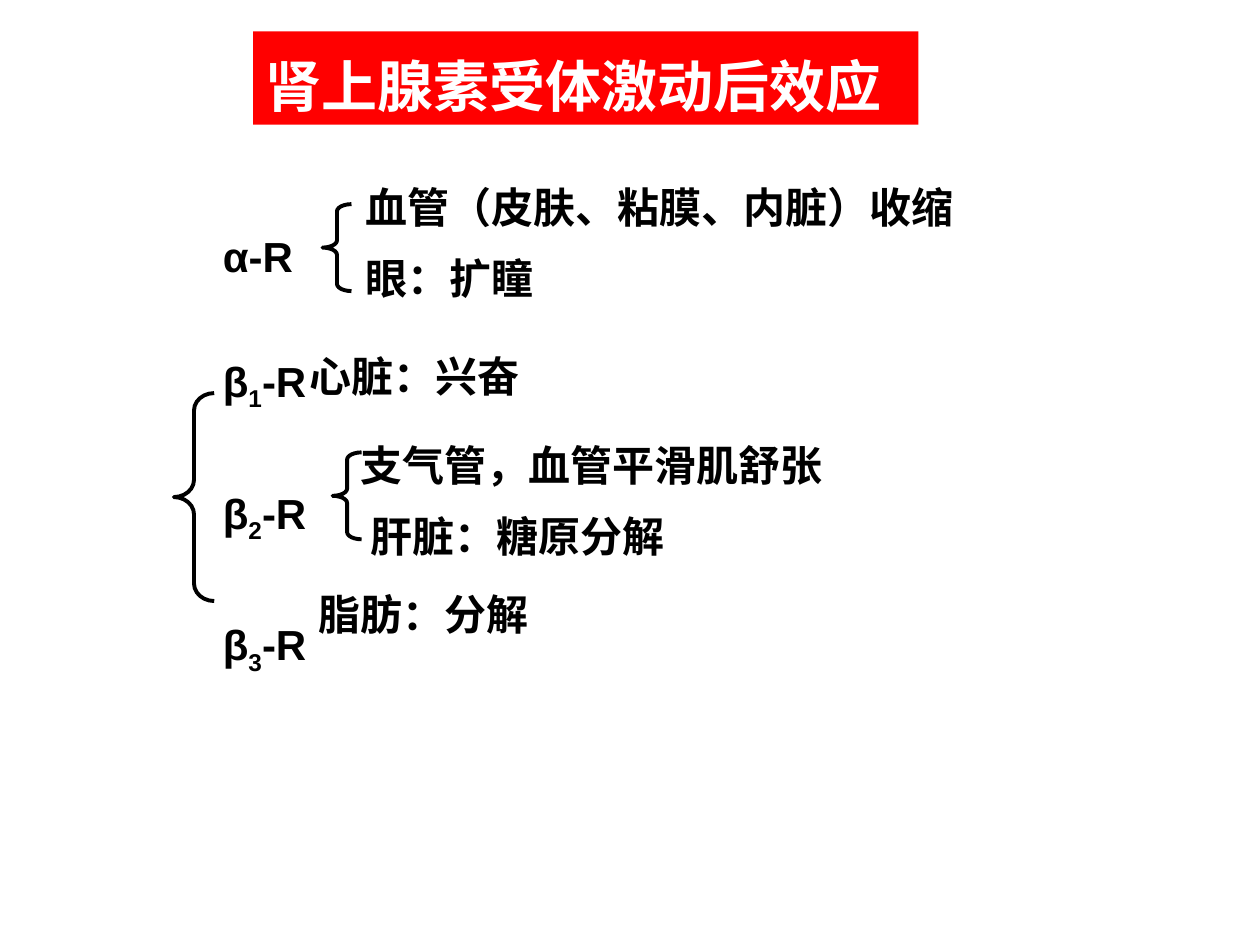
import dataclasses

import pptx
import pptx.dml.color
import pptx.enum.shapes
import pptx.enum.text
import pptx.util

Inches = pptx.util.Inches
Pt = pptx.util.Pt
RGB = pptx.dml.color.RGBColor
Kind = pptx.enum.shapes.MSO_SHAPE


@dataclasses.dataclass(frozen=True)
class Theme:
    """Colours, fonts and type sizes of the slide."""
    red: RGB = RGB(255, 0, 0)
    white: RGB = RGB(255, 255, 255)
    black: RGB = RGB(0, 0, 0)
    latin: str = "Arial"
    body: str = "Calibri"
    head: int = 32
    text: int = 24
    line: float = 2.25
    lead: float = 1.2


THEME = Theme()


def add_run(para, text, font, size, color):
    """Add one bold run and return it."""
    run = para.add_run()
    run.text = text
    run.font.name = font
    run.font.size = Pt(size)
    run.font.bold = True
    run.font.color.rgb = color
    return run


def add_para(frame, first, gap):
    """Return a left-aligned paragraph, spaced unless it is the first."""
    para = frame.paragraphs[0] if first else frame.add_paragraph()
    para.alignment = pptx.enum.text.PP_ALIGN.LEFT
    para.line_spacing = THEME.lead
    if not first:
        para.space_before = Pt(gap)
    return para


def add_box(slide, box):
    """Add a wrapping text box and return its frame."""
    frame = slide.shapes.add_textbox(*map(Inches, box)).text_frame
    frame.word_wrap = True
    return frame


def add_title(slide, box, text):
    """Draw the red title bar."""
    bar = slide.shapes.add_shape(Kind.RECTANGLE, *map(Inches, box))
    bar.shadow.inherit = False
    bar.fill.solid()
    bar.fill.fore_color.rgb = THEME.red
    bar.line.fill.background()
    frame = bar.text_frame
    frame.word_wrap = True
    frame.vertical_anchor = pptx.enum.text.MSO_ANCHOR.TOP
    add_run(add_para(frame, True, 0), text, THEME.body, THEME.head, THEME.white)


def add_names(slide, box, names):
    """List the receptor names, with their numbers as subscripts."""
    frame = add_box(slide, box)
    for i, (greek, num) in enumerate(names):
        para = add_para(frame, i == 0, 36)
        for text in filter(None, (greek, num, "-R")):
            run = add_run(para, text, THEME.latin, THEME.text, THEME.black)
            if text == num:
                run.font._element.set("baseline", "-25000")


def add_effects(slide, box, lines):
    """List the effects of one receptor, each with its left indent."""
    frame = add_box(slide, box)
    for i, (text, left) in enumerate(lines):
        para = add_para(frame, i == 0, 6)
        if left:
            para._p.get_or_add_pPr().set("marL", str(Inches(left)))
        add_run(para, text, THEME.body, THEME.text, THEME.black)


def add_brace(slide, box, curve):
    """Draw a left brace with the given curve."""
    brace = slide.shapes.add_shape(Kind.LEFT_BRACE, *map(Inches, box))
    brace.shadow.inherit = False
    brace.adjustments[0] = curve
    brace.fill.background()
    brace.line.color.rgb = THEME.black
    brace.line.width = Pt(THEME.line)


def main():
    """Build and save the slide."""
    deck = pptx.Presentation()
    deck.slide_width, deck.slide_height = Inches(10), Inches(7.5)
    slide = deck.slides.add_slide(deck.slide_layouts[6])
    names = [("α", ""), ("β", "1"), ("β", "2"), ("β", "3")]
    add_names(slide, (1.67, 1.7, 0.89, 4.14), names)
    add_title(slide, (2.01, 0.25, 5.28, 0.74), "肾上腺素受体激动后效应")
    effects = [
        ((2.8, 1.31, 5, 1.15), [("血管（皮肤、粘膜、内脏）收缩", 0), ("眼：扩瞳", 0)]),
        ((2.36, 2.65, 2.61, 0.58), [("心脏：兴奋", 0)]),
        ((2.76, 3.36, 5, 1.15), [("支气管，血管平滑肌舒张", 0), ("肝脏：糖原分解", 0.08)]),
        ((2.43, 4.54, 2.61, 0.58), [("脂肪：分解", 0)]),
    ]
    for box, lines in effects:
        add_effects(slide, box, lines)
    for left, top in ((2.56, 1.62), (2.64, 3.59)):
        add_brace(slide, (left, top, 0.23, 0.69), 0.25)
    add_brace(slide, (1.38, 3.12, 0.32, 1.65), 0.43)
    deck.save("out.pptx")


if __name__ == "__main__":
    main()
